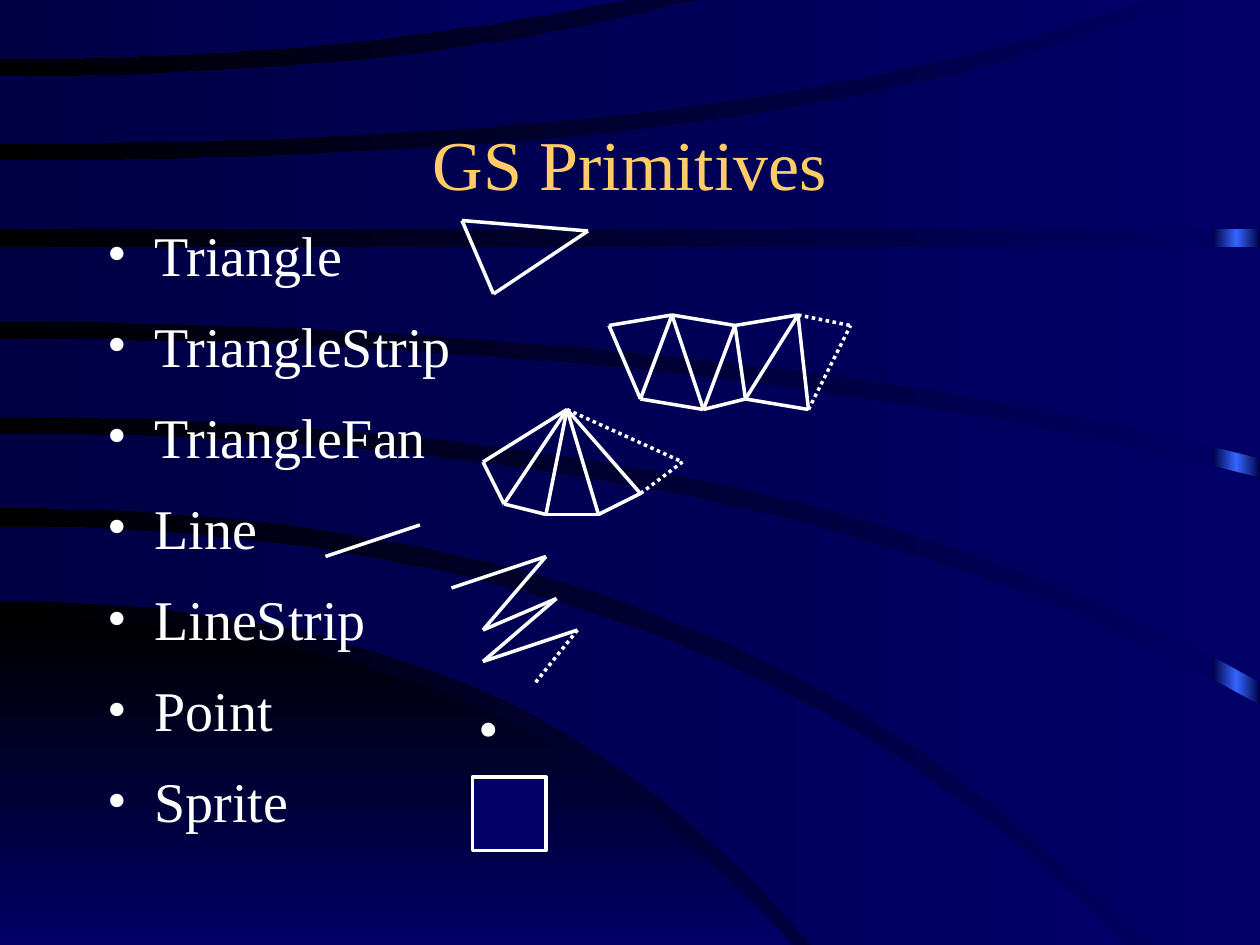
"""Build the GS Primitives slide: swept blue bands, a list and line figures."""
from copy import deepcopy
from itertools import pairwise

from lxml import etree
from pptx import Presentation
from pptx import util as u
from pptx.dml.color import RGBColor
from pptx.enum import dml, shapes, text
from pptx.oxml.ns import qn

NAVY = RGBColor(0x00, 0x00, 0x66)
DEEP = RGBColor(0x00, 0x00, 0x44)
BLACK = RGBColor(0x00, 0x00, 0x00)
BLUE = RGBColor(0x33, 0x66, 0xFF)
WHITE = RGBColor(0xFF, 0xFF, 0xFF)
GOLD = RGBColor(0xFF, 0xCC, 0x66)
FACE = "Times New Roman"
WIDE, HIGH = 720, 540
UNIT = 6
STEPS = 36


def blend(fill, tints, angle=180):
    fill.gradient()
    fill.gradient_angle = angle
    stops = fill.gradient_stops
    if len(tints) == 3:
        first = stops[0]._gs
        first.addnext(deepcopy(first))
        stops = fill.gradient_stops
    for rank, (stop, tint) in enumerate(zip(stops, tints)):
        stop.color.rgb = tint
        stop.position = rank / (len(tints) - 1)


def write(holder, lines, box, size, color, align, anchor, top=3.6, gap=0, lead=1, hang=0):
    holder.left, holder.top, holder.width, holder.height = map(u.Pt, box)
    frame = holder.text_frame
    frame.text = lines
    frame.word_wrap = True
    frame.auto_size = text.MSO_AUTO_SIZE.NONE
    frame.vertical_anchor = anchor
    frame.margin_left = frame.margin_right = u.Pt(7.2)
    frame.margin_top, frame.margin_bottom = u.Pt(top), u.Pt(3.6)
    for rank, para in enumerate(frame.paragraphs):
        props = para._p.get_or_add_pPr()
        if hang:
            props.set("marL", str(u.Pt(hang)))
            props.set("indent", str(-u.Pt(hang)))
            tint = etree.SubElement(props, qn("a:buClr"))
            etree.SubElement(tint, qn("a:srgbClr"), val=str(color))
            etree.SubElement(props, qn("a:buFont"), typeface=FACE)
            etree.SubElement(props, qn("a:buChar"), char="•")
        para.alignment = align
        para.line_spacing = lead
        para.space_before = u.Pt(gap if rank else 0)
        para.font.name, para.font.size = FACE, u.Pt(size)
        para.font.color.rgb = color


deck = Presentation()
deck.slide_width, deck.slide_height = u.Pt(WIDE), u.Pt(HIGH)
slide = deck.slides.add_slide(deck.slide_layouts[1])
page = slide.shapes
blend(slide.background.fill, [NAVY, BLACK])

edge = page.add_shape(shapes.MSO_SHAPE.RECTANGLE, u.Pt(693), 0, u.Pt(27), u.Pt(HIGH))
edge.shadow.inherit = False
edge.line.fill.background()
blend(edge.fill, [DEEP, BLUE, DEEP])

bands = [
    (452, (354, 290, 455), (HIGH, 0, 0)),
    (643, (301, 195, 129), (343, 285, 460)),
    (WIDE, (248, 106, 49), (290, 185, 142)),
    (WIDE, (194, 65, 14), (238, 102, 50)),
    (WIDE, (141, 0, 0), (184, 64, 14)),
    (WIDE, (92, -55, -55), (131, 0, 0)),
    (660, (44, -110, -117), (82, -57, -50)),
    (361, (0, 0, 0), (34, -129, -38)),
]
for rank, (reach, *rims) in enumerate(bands):
    curves = []
    for start, bend, curl in rims:
        curve = []
        for step in range(STEPS + 1):
            across = reach * step / STEPS
            part = (across / WIDE) ** 2
            down = start + bend * part + curl * part ** 2
            curve.append((round(across), round(min(max(down, 0), HIGH))))
        curves.append(curve)
    points = curves[0] + curves[1][::-1]
    pen = page.build_freeform(*points[0], scale=u.Pt(1))
    pen.add_line_segments(points[1:], close=True)
    sweep = pen.convert_to_shape()
    sweep.shadow.inherit = False
    sweep.line.fill.background()
    if rank:
        blend(sweep.fill, [NAVY, DEEP])
    else:
        blend(sweep.fill, [BLACK, NAVY], angle=270)

title, body = page.title, slide.placeholders[1]
for holder in (title, body):
    page._spTree.append(holder._element)
write(title, "GS Primitives", (54, 48, 612, 90), 40, GOLD,
      text.PP_ALIGN.CENTER, text.MSO_ANCHOR.MIDDLE)
names = ["Triangle", "TriangleStrip", "TriangleFan", "Line", "LineStrip", "Point", "Sprite"]
write(body, "\n".join(names), (54, 114, 612, 378), 32, WHITE,
      text.PP_ALIGN.LEFT, text.MSO_ANCHOR.TOP, top=8, gap=9.8, lead=1.1, hang=27)

for kind, left, top, side, tint in [(shapes.MSO_SHAPE.RECTANGLE, 45, 74, 7, NAVY),
                                    (shapes.MSO_SHAPE.OVAL, 46, 69, 1, WHITE)]:
    mark = page.add_shape(kind, *(u.Pt(UNIT * n) for n in (left, top, side, side)))
    mark.shadow.inherit = False
    mark.fill.solid()
    mark.fill.fore_color.rgb = tint
    mark.line.color.rgb = WHITE
    mark.line.width = u.Pt(2)

tri = [(44, 21), (56, 22), (47, 28)]
strip = [(58, 31), (61, 38), (64, 30), (67, 39), (70, 31), (71, 38), (76, 30), (77, 39), (81, 31)]
hub = (54, 39)
rim = [(46, 44), (48, 48), (52, 49), (57, 49), (61, 47), (65, 44)]
zigzag = [(43, 56), (52, 53), (46, 60), (53, 57), (46, 63), (55, 60), (51, 65)]
figures = [
    (list(pairwise(tri + tri[:1])), None),
    ([((31, 53), (40, 50))], None),
    (list(pairwise(strip)) + list(zip(strip, strip[2:])), strip[-1]),
    (list(pairwise(rim)) + [(hub, spot) for spot in rim], rim[-1]),
    (list(pairwise(zigzag)), zigzag[-1]),
]
for sides, tip in figures:
    home = page.add_group_shape().shapes if len(sides) > 1 else page
    for start, end in sides:
        ends = (u.Pt(UNIT * n) for n in start + end)
        side = home.add_connector(shapes.MSO_CONNECTOR.STRAIGHT, *ends)
        side.line.color.rgb = WHITE
        side.line.width = u.Pt(2)
        if end == tip:
            side.line.dash_style = dml.MSO_LINE.ROUND_DOT
        etree.SubElement(side._element.spPr, qn("a:effectLst"))

deck.save("out.pptx")
